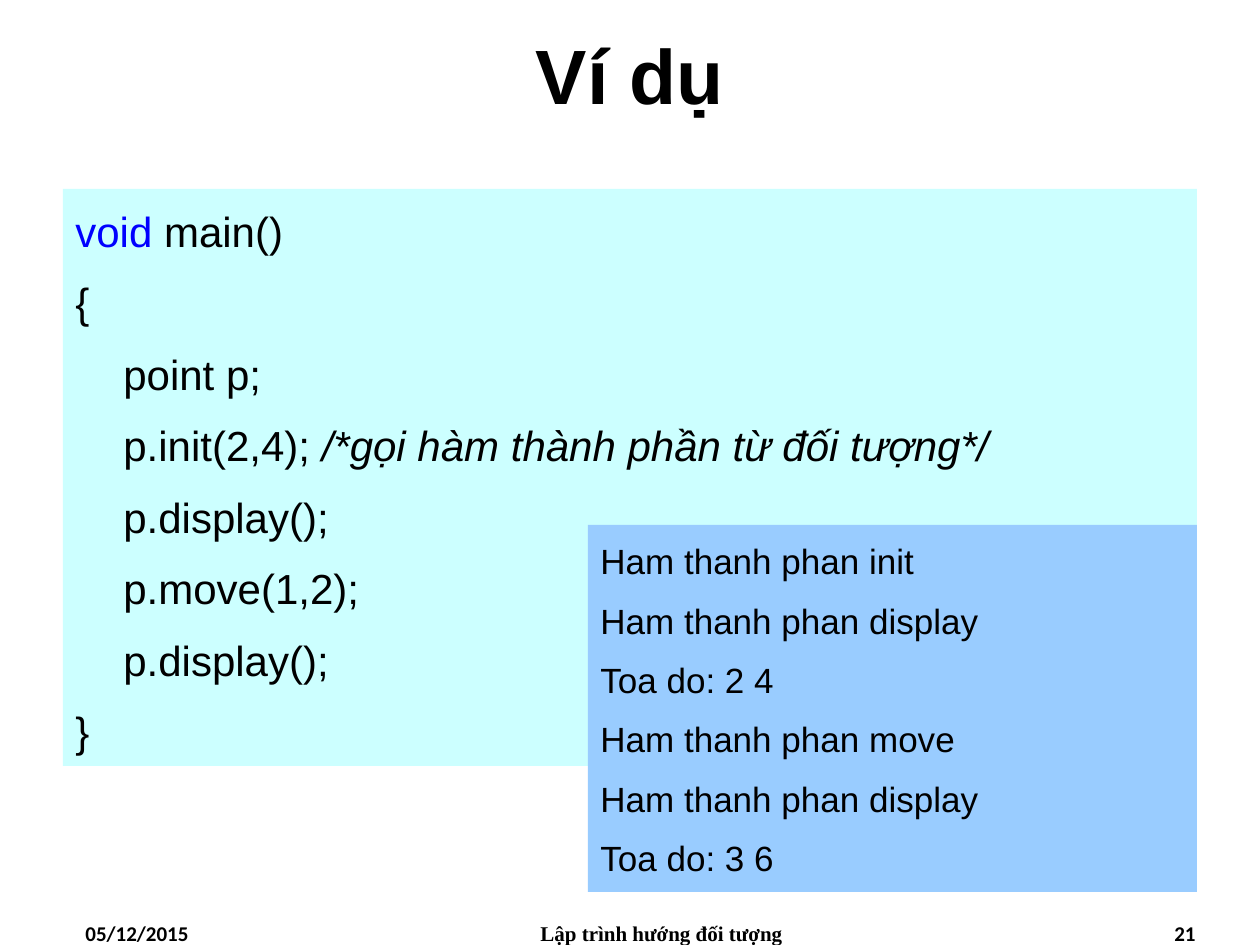
from dataclasses import dataclass
from typing import Optional

from pptx import Presentation
from pptx.dml.color import RGBColor
from pptx.enum.shapes import MSO_SHAPE as Shape
from pptx.enum.text import MSO_ANCHOR as Anchor, PP_ALIGN as Align
from pptx.util import Emu, Pt

EMU_PER_PX = 914400 / 126
INDENT = 48
BLACK = RGBColor(0x00, 0x00, 0x00)
KEYWORD_BLUE = RGBColor(0x00, 0x00, 0xFF)
CODE_FILL = RGBColor(0xCC, 0xFF, 0xFF)
OUTPUT_FILL = RGBColor(0x99, 0xCC, 0xFF)


@dataclass(frozen=True)
class Span:
    text: str
    color: RGBColor = BLACK
    italic: bool = False


@dataclass(frozen=True)
class Line:
    spans: tuple[Span, ...]
    level: int = 0


@dataclass(frozen=True)
class Box:
    left: int
    top: int
    width: int
    height: int


@dataclass(frozen=True)
class Label:
    box: Box
    text: str
    size: int
    font: str
    align: Align
    anchor: Anchor = Anchor.TOP


@dataclass(frozen=True)
class Panel:
    box: Box
    fill: RGBColor
    size: int
    space_before: float
    lines: tuple[Line, ...]


def plain(text: str, level: int = 0) -> Line:
    return Line((Span(text),), level)


LABELS = (
    Label(Box(0, 0, 1260, 147), "Ví dụ", 44, "Arial", Align.CENTER, Anchor.MIDDLE),
    Label(Box(73, 914, 294, 32), "05/12/2015", 12, "Calibri", Align.LEFT),
    Label(Box(462, 914, 399, 32), "Lập trình hướng đối tượng", 12, "Times New Roman", Align.CENTER),
    Label(Box(914, 914, 294, 32), "21", 12, "Calibri", Align.RIGHT),
)

CODE = (
    Line((Span("void", KEYWORD_BLUE), Span(" main()"))),
    plain("{"),
    plain("point p;", 1),
    Line((Span("p.init(2,4); "), Span("/*gọi hàm thành phần từ đối tượng*/", italic=True)), 1),
    plain("p.display();", 1),
    plain("p.move(1,2);", 1),
    plain("p.display();", 1),
    plain("}"),
)

OUTPUT = tuple(plain(text) for text in (
    "Ham thanh phan init",
    "Ham thanh phan display",
    "Toa do: 2 4",
    "Ham thanh phan move",
    "Ham thanh phan display",
    "Toa do: 3 6",
))

PANELS = (
    Panel(Box(63, 189, 1134, 577), CODE_FILL, 24, 6.3, CODE),
    Panel(Box(588, 525, 609, 367), OUTPUT_FILL, 20, 5.2, OUTPUT),
)


def px(length: int) -> Emu:
    return Emu(round(length * EMU_PER_PX))


def place(box: Box) -> tuple[Emu, Emu, Emu, Emu]:
    return px(box.left), px(box.top), px(box.width), px(box.height)


def add_text(paragraph, text: str, *, size: int, font: str = "Arial",
             color: RGBColor = BLACK, bold: bool = False, italic: bool = False) -> None:
    run = paragraph.add_run()
    run.text = text
    run.font.size = Pt(size)
    run.font.name = font
    run.font.color.rgb = color
    run.font.bold = bold
    run.font.italic = italic


def draw_label(slide, label: Label) -> None:
    frame = slide.shapes.add_textbox(*place(label.box)).text_frame
    frame.word_wrap = True
    frame.vertical_anchor = label.anchor
    paragraph = frame.paragraphs[0]
    paragraph.alignment = label.align
    add_text(paragraph, label.text, size=label.size, font=label.font, bold=True)


def draw_panel(slide, panel: Panel) -> None:
    shape = slide.shapes.add_shape(Shape.RECTANGLE, *place(panel.box))
    shape.shadow.inherit = False
    shape.fill.solid()
    shape.fill.fore_color.rgb = panel.fill
    shape.line.fill.background()
    frame = shape.text_frame
    frame.word_wrap = True
    frame.vertical_anchor = Anchor.TOP
    for index, line in enumerate(panel.lines):
        paragraph = frame.add_paragraph() if index else frame.paragraphs[0]
        paragraph.alignment = Align.LEFT
        paragraph.line_spacing = 1.2
        paragraph.space_before = Pt(panel.space_before)
        if line.level:
            properties = paragraph._p.get_or_add_pPr()
            properties.set("marL", str(px(INDENT * line.level)))
            properties.set("indent", "0")
        for span in line.spans:
            add_text(paragraph, span.text, size=panel.size, color=span.color, italic=span.italic)


def main() -> None:
    presentation = Presentation()
    presentation.slide_width = px(1260)
    presentation.slide_height = px(945)
    slide = presentation.slides.add_slide(presentation.slide_layouts[6])
    for label in LABELS:
        draw_label(slide, label)
    for panel in PANELS:
        draw_panel(slide, panel)
    presentation.save("out.pptx")


if __name__ == "__main__":
    main()
